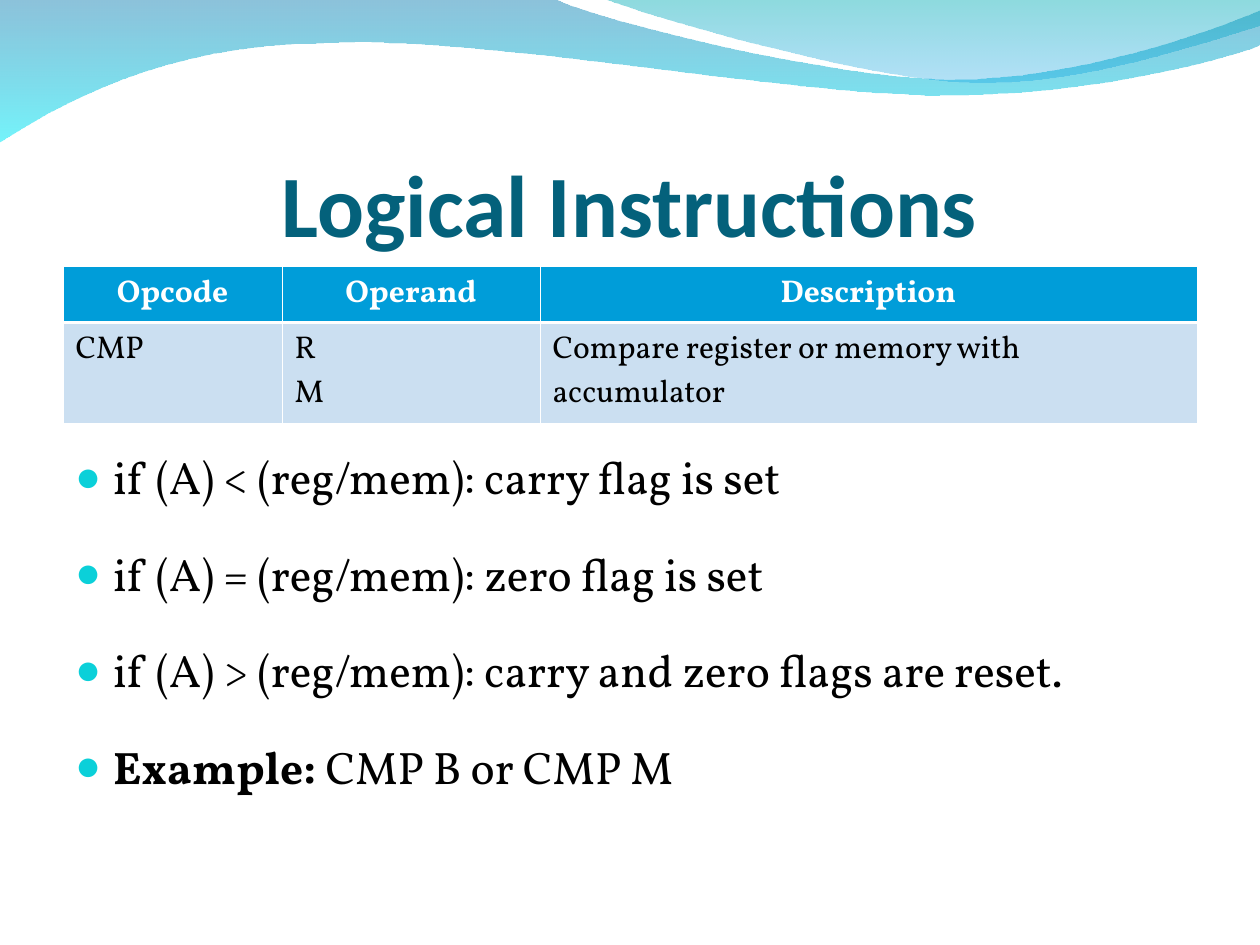
"""Build the Logical Instructions slide about the CMP opcode."""
from lxml import etree
from pptx import Presentation
from pptx.dml.color import RGBColor
from pptx.enum import text
from pptx.oxml import ns
from pptx.util import Pt

EMU_PER_PX = 914400 / 126
WHITE = RGBColor(0xFF, 0xFF, 0xFF)
BLACK = RGBColor(0, 0, 0)
TITLE_TEAL = RGBColor(0x04, 0x61, 0x7B)
HEADER_BLUE = RGBColor(0x00, 0x9D, 0xD9)
ROW_BLUE = RGBColor(0xCB, 0xDF, 0xF1)
BULLET_CYAN = RGBColor(0x0B, 0xD0, 0xD9)
WAVE_BLUE = RGBColor(0x00, 0x79, 0xAF)
WAVE_CYAN = RGBColor(0x00, 0xEB, 0xF8)
WAVE_TEAL = RGBColor(0x00, 0xAD, 0xB6)
WAVE_SKY = RGBColor(0x00, 0x9B, 0xE5)

LONG_WAVE = [
    [(554, -1)],
    [(600, 21), (837, 79), (955, 79)],
    [(1075, 79), (1207, 33), (1260, 11)],
    [(1261, 45)],
    [(1239, 55), (1096, 96), (940, 95)],
    [(784, 95), (481, 35), (324, 43)],
    [(163, 44), (58, 105), (-1, 142)],
]
SHORT_WAVE = [
    [(641, 14), (859, 78), (969, 82)],
    [(1079, 87), (1211, 40), (1260, 26)],
    [(1260, 0)],
]
ROWS = [
    ["Opcode", "Operand", "Description"],
    ["CMP", "R\nM", "Compare register or memory with accumulator"],
]
BULLETS = [
    [("if (A) < (reg/mem): carry flag is set", False)],
    [("if (A) = (reg/mem): zero flag is set", False)],
    [("if (A) > (reg/mem): carry and zero flags are reset.", False)],
    [("Example:", True), (" CMP B or CMP M", False)],
]


def px(n):
    return round(n * EMU_PER_PX)


def add_xml(parent, tag, **attrs):
    return etree.SubElement(parent, ns.qn(tag), attrs)


class SlideBuilder:
    title_font = "Calibri"
    body_font = "Vollkorn"

    def __init__(self, prs):
        self.slide = prs.slides.add_slide(prs.slide_layouts[1])

    def style(self, font, name, size, color, bold=None):
        font.name, font.size, font.bold = name, Pt(size), bold
        font.color.rgb = color

    def curve(self, sp, segments):
        lines = iter(list(sp.element.iter(ns.qn("a:lnTo"))))
        for seg in segments:
            first, *others = [next(lines) for _ in seg]
            if others:
                bezier = etree.Element(ns.qn("a:cubicBezTo"))
                first.addprevious(bezier)
                for line in (first, *others):
                    bezier.append(line[0])
                    line.getparent().remove(line)

    def wave(self, start, segments, stops):
        builder = self.slide.shapes.build_freeform(*map(px, start))
        builder.add_line_segments([(px(x), px(y)) for seg in segments for x, y in seg], close=True)
        sp = builder.convert_to_shape()
        self.curve(sp, segments)
        sp.shadow.inherit = False
        sp.line.fill.background()
        sp.fill.gradient()
        sp.fill.gradient_angle = 270
        for stop, position, (color, _) in zip(sp.fill.gradient_stops, (0, 1), stops):
            stop.position = position
            stop.color.rgb = color
        for clr, (_, opacity) in zip(sp.element.iter(ns.qn("a:srgbClr")), stops):
            add_xml(clr, "a:alpha", val=str(opacity * 1000))

    def placeholder(self, idx, box, insets, anchor):
        sp = self.slide.placeholders[idx]
        sp.element.getparent().append(sp.element)
        sp.left, sp.top, sp.width, sp.height = map(px, box)
        tf = sp.text_frame
        tf.margin_left, tf.margin_top, tf.margin_right, tf.margin_bottom = map(px, insets)
        tf.word_wrap = True
        tf.auto_size = text.MSO_AUTO_SIZE.NONE
        tf.vertical_anchor = anchor
        return tf

    def title(self, box, words):
        tf = self.placeholder(0, box, (0, 6, 0, 0), text.MSO_ANCHOR.BOTTOM)
        tf.text = words
        p = tf.paragraphs[0]
        p.alignment = text.PP_ALIGN.CENTER
        self.style(p.font, self.title_font, 50, TITLE_TEAL, True)

    def borders(self, cell, header):
        tc_pr = cell._tc.get_or_add_tcPr()
        thick = "a:lnB" if header else "a:lnT"
        for i, tag in enumerate(("a:lnL", "a:lnR", "a:lnT", "a:lnB")):
            ln = add_xml(tc_pr, tag, w=str(Pt(1.47 if tag == thick else 0.45)))
            add_xml(add_xml(ln, "a:solidFill"), "a:srgbClr", val=str(WHITE))
            tc_pr.insert(i, ln)

    def table(self, box, widths, heights, rows):
        table = self.slide.shapes.add_table(len(rows), len(widths), *map(px, box)).table
        for col, width in zip(table.columns, widths):
            col.width = px(width)
        for r, (row, height) in enumerate(zip(rows, heights)):
            table.rows[r].height = px(height)
            header = r == 0
            for c, words in enumerate(row):
                cell = table.cell(r, c)
                cell.text = words
                cell.fill.solid()
                cell.fill.fore_color.rgb = HEADER_BLUE if header else ROW_BLUE
                self.borders(cell, header)
                for p in cell.text_frame.paragraphs:
                    p.alignment = text.PP_ALIGN.CENTER if header else text.PP_ALIGN.LEFT
                    self.style(p.font, self.body_font, 18, WHITE if header else BLACK, header)

    def bullets(self, box, items):
        tf = self.placeholder(1, box, (12, 6, 12, 6), text.MSO_ANCHOR.TOP)
        for i, runs in enumerate(items):
            p = tf.add_paragraph() if i else tf.paragraphs[0]
            p_pr = p._p.get_or_add_pPr()
            p_pr.set("marL", str(px(38)))
            p_pr.set("indent", str(px(-38)))
            add_xml(add_xml(p_pr, "a:buClr"), "a:srgbClr", val=str(BULLET_CYAN))
            add_xml(p_pr, "a:buSzPct", val="95000")
            add_xml(p_pr, "a:buChar", char="●")
            p.space_before, p.space_after = Pt(0), Pt(24)
            self.style(p.font, self.body_font, 26, BLACK)
            for words, bold in runs:
                r = p.add_run()
                r.text = words
                r.font.bold = bold


def main():
    prs = Presentation()
    prs.slide_width, prs.slide_height = px(1260), px(945)
    slide = SlideBuilder(prs)
    slide.wave((0, -1), LONG_WAVE, [(WAVE_BLUE, 45), (WAVE_CYAN, 55)])
    slide.wave((604, -1), SHORT_WAVE, [(WAVE_TEAL, 45), (WAVE_SKY, 30)])
    slide.title((63, 98, 1134, 157), "Logical Instructions")
    slide.table((63, 266, 1134, 140), (219, 258, 657), (52, 88), ROWS)
    slide.bullets((63, 443, 1134, 428), BULLETS)
    prs.save("out.pptx")


if __name__ == "__main__":
    main()
